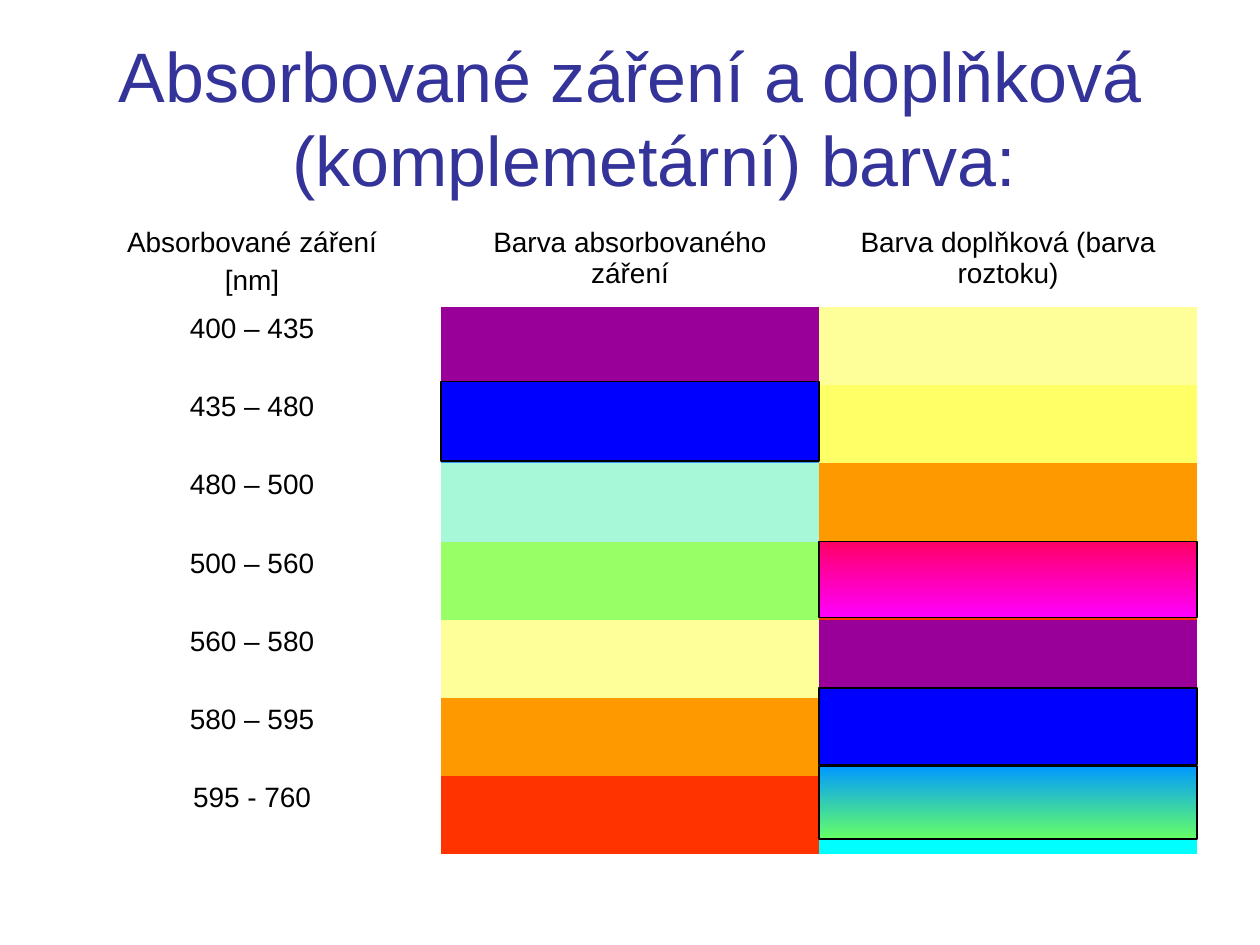
import pptx
import pptx.dml.color
import pptx.enum.shapes
import pptx.enum.text
import pptx.oxml.ns
import pptx.util

Inches = pptx.util.Inches
Pt = pptx.util.Pt

PLAIN_TABLE_STYLE = "{2D5ABB26-0587-4C30-8999-92F81FD0307C}"
TITLE = "Absorbované záření a doplňková (komplemetární) barva:"
TITLE_FORMAT = {"name": "Arial", "size": Pt(40)}
CELL_FORMAT = {"name": "Arial", "size": Pt(16)}
HEADERS = [
    ["Absorbované záření", "[nm]"],
    ["Barva absorbovaného záření"],
    ["Barva doplňková (barva roztoku)"],
]
BANDS = [
    ("400 – 435", "990099", "FFFF99"),
    ("435 – 480", "3399FF", "FFFF66"),
    ("480 – 500", "A7F7D9", "FF9900"),
    ("500 – 560", "99FF66", "FF3300"),
    ("560 – 580", "FFFF99", "990099"),
    ("580 – 595", "FF9900", "3399FF"),
    ("595 - 760", "FF3300", "00FFFF"),
]
SWATCHES = [
    (6.5, 6.08, 0.58, ["0099FF", "66FF66"]),
    (6.5, 4.3, 0.6, ["FF0066", "FF00FF"]),
    (6.5, 5.46, 0.61, ["0000FF"]),
    (3.5, 3.03, 0.63, ["0000FF"]),
]
COLUMN_WIDTH = 3
ROW_HEIGHT = 0.62


def color(hex_value):
    return pptx.dml.color.RGBColor.from_string(hex_value)


def write_paragraphs(frame, lines, text_format, hex_value):
    for index, line in enumerate(lines):
        para = frame.add_paragraph() if index else frame.paragraphs[0]
        para.alignment = pptx.enum.text.PP_ALIGN.CENTER
        if index:
            para.space_before = Pt(4)
        span = para.add_run()
        span.text = line
        for name, value in text_format.items():
            setattr(span.font, name, value)
        span.font.color.rgb = color(hex_value)


def add_title(page):
    box = page.shapes.add_textbox(Inches(0.5), Inches(0.3), Inches(9), Inches(1.25))
    frame = box.text_frame
    frame.word_wrap = True
    frame.vertical_anchor = pptx.enum.text.MSO_ANCHOR.MIDDLE
    write_paragraphs(frame, [TITLE], TITLE_FORMAT, "333399")
    properties = frame.paragraphs[0]._p.get_or_add_pPr()
    properties.set("marL", str(Inches(0.38)))
    properties.set("indent", str(-Inches(0.38)))


def add_band_table(page):
    row_count = len(BANDS) + 1
    holder = page.shapes.add_table(
        row_count, len(HEADERS), Inches(0.5), Inches(1.75),
        Inches(COLUMN_WIDTH * len(HEADERS)), Inches(ROW_HEIGHT * row_count),
    )
    table = holder.table
    table.first_row = False
    table.horz_banding = False
    style = table._tbl.tblPr.find(pptx.oxml.ns.qn("a:tableStyleId"))
    style.text = PLAIN_TABLE_STYLE
    for column in table.columns:
        column.width = Inches(COLUMN_WIDTH)
    for row in table.rows:
        row.height = Inches(ROW_HEIGHT)
    for cell in table.iter_cells():
        cell.fill.background()
    for index, lines in enumerate(HEADERS):
        write_paragraphs(table.cell(0, index).text_frame, lines, CELL_FORMAT, "000000")
    for row_index, (wavelengths, *fills) in enumerate(BANDS, 1):
        frame = table.cell(row_index, 0).text_frame
        write_paragraphs(frame, [wavelengths], CELL_FORMAT, "000000")
        for column_index, hex_value in enumerate(fills, 1):
            fill = table.cell(row_index, column_index).fill
            fill.solid()
            fill.fore_color.rgb = color(hex_value)


def add_swatch(page, left, top, height, hex_values):
    swatch = page.shapes.add_shape(
        pptx.enum.shapes.MSO_SHAPE.RECTANGLE,
        Inches(left), Inches(top), Inches(COLUMN_WIDTH), Inches(height),
    )
    swatch.shadow.inherit = False
    if len(hex_values) > 1:
        swatch.fill.gradient()
        swatch.fill.gradient_angle = 270
        for stop, hex_value in zip(swatch.fill.gradient_stops, hex_values):
            stop.color.rgb = color(hex_value)
    else:
        swatch.fill.solid()
        swatch.fill.fore_color.rgb = color(hex_values[0])
    swatch.line.color.rgb = color("000000")
    swatch.line.width = Pt(0.75)


def main():
    deck = pptx.Presentation()
    deck.slide_width = Inches(10)
    deck.slide_height = Inches(7.5)
    page = deck.slides.add_slide(deck.slide_layouts[6])
    add_title(page)
    add_band_table(page)
    for swatch in SWATCHES:
        add_swatch(page, *swatch)
    deck.save("out.pptx")


if __name__ == "__main__":
    main()
